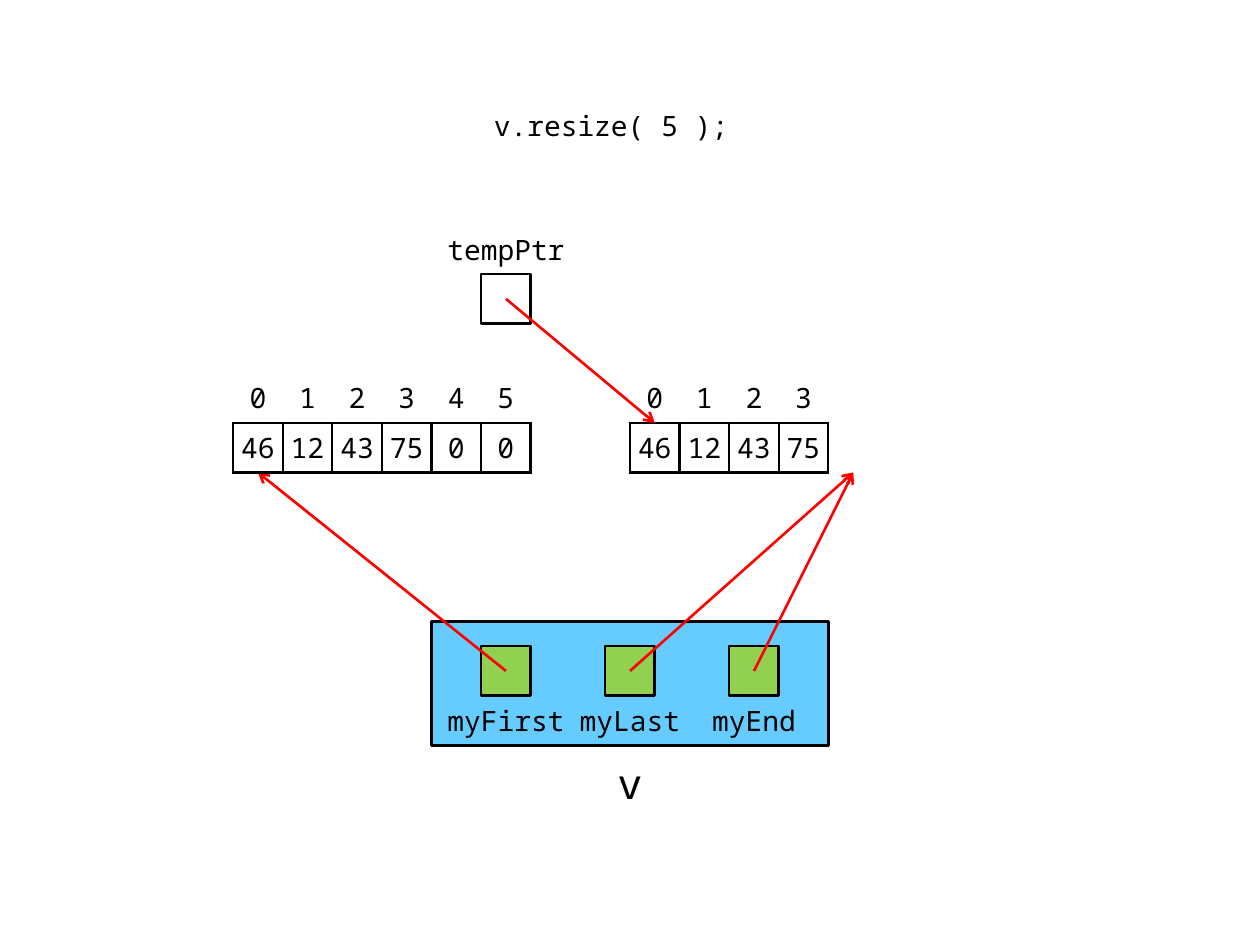
from dataclasses import dataclass

from lxml.etree import SubElement
from pptx import Presentation
from pptx.dml.color import RGBColor
from pptx.enum.shapes import MSO_CONNECTOR, MSO_SHAPE
from pptx.enum.text import MSO_ANCHOR, PP_ALIGN
from pptx.oxml import parse_xml
from pptx.oxml.ns import nsdecls, qn
from pptx.util import Inches, Length, Pt

FONT = "Noto Sans Mono"
BLACK, WHITE, RED = "000000", "FFFFFF", "FF0000"
BLUE, GREEN = "66CCFF", "92D050"
CELL = 1 / 2.54
LINE_WIDTH = 1.5


@dataclass
class Box:
    column: float
    row: float
    width: float = 1
    height: float = 1
    fill: str = ""
    text: str = ""
    size: int = 16
    kind: MSO_SHAPE = MSO_SHAPE.RECTANGLE


@dataclass
class Arrow:
    start: tuple[float, float]
    end: tuple[float, float]


@dataclass
class Array:
    column: float
    row: float
    values: list[int]


def color(value: str) -> RGBColor:
    return RGBColor.from_string(value)


def span_of(cells: float) -> Length:
    return Inches(cells * CELL)


def point(column: float, row: float) -> tuple[Length, Length]:
    return Inches(5 + column * CELL), Inches(3.75 + row * CELL)


def write(frame, text: str, size: int = 16, align=PP_ALIGN.CENTER) -> None:
    frame.text = text
    para = frame.paragraphs[0]
    para.alignment = align
    para.space_before = Pt(0)
    para.font.name = FONT
    para.font.size = Pt(size)
    para.font.bold = False
    para.font.color.rgb = color(BLACK)


def draw_statement(page, text: str) -> None:
    page.shapes.title.element.getparent().remove(page.shapes.title.element)
    body = page.placeholders[1]
    body.left, body.top = point(-3, -7.5)
    body.width, body.height = span_of(6), span_of(1)
    frame = body.text_frame
    frame.vertical_anchor = MSO_ANCHOR.MIDDLE
    write(frame, text, align=PP_ALIGN.LEFT)
    properties = frame.paragraphs[0]._p.get_or_add_pPr()
    properties.set("marL", "0")
    properties.set("indent", "0")
    properties.append(parse_xml(f"<a:buNone {nsdecls('a')}/>"))


def draw_box(page, box: Box) -> None:
    shape = page.shapes.add_shape(
        box.kind, *point(box.column, box.row), span_of(box.width), span_of(box.height)
    )
    shape.shadow.inherit = False
    if box.fill:
        shape.fill.solid()
        shape.fill.fore_color.rgb = color(box.fill)
        shape.line.color.rgb = color(BLACK)
        shape.line.width = Pt(LINE_WIDTH)
    else:
        shape.fill.background()
        shape.line.fill.background()
    if box.text:
        shape.text_frame.vertical_anchor = MSO_ANCHOR.MIDDLE
        write(shape.text_frame, box.text, box.size)


def draw_arrow(page, arrow: Arrow) -> None:
    connector = page.shapes.add_connector(
        MSO_CONNECTOR.STRAIGHT, *point(*arrow.start), *point(*arrow.end)
    )
    connector.line.color.rgb = color(RED)
    connector.line.width = Pt(LINE_WIDTH)
    SubElement(connector.line._get_or_add_ln(), qn("a:tailEnd"), type="arrow")
    SubElement(connector.element.spPr, qn("a:effectLst"))


def set_borders(cell, visible: str) -> None:
    properties = cell._tc.get_or_add_tcPr()
    for position, side in enumerate("LRTB"):
        paint = (
            f'<a:solidFill><a:srgbClr val="{BLACK}"/></a:solidFill>'
            if side in visible
            else "<a:noFill/>"
        )
        border = parse_xml(
            f'<a:ln{side} {nsdecls("a")} w="{Pt(LINE_WIDTH)}">{paint}</a:ln{side}>'
        )
        properties.insert(position, border)


def draw_array(page, array: Array) -> None:
    count = len(array.values)
    table = page.shapes.add_table(
        2, count, *point(array.column, array.row), span_of(count), span_of(2)
    ).table
    table.first_row = table.horz_banding = False
    for line in table.rows:
        line.height = span_of(1)
    for index, value in enumerate(array.values):
        table.columns[index].width = span_of(1)
        for row, (text, borders) in enumerate([(index, "B"), (value, "LRTB")]):
            cell = table.cell(row, index)
            cell.fill.background()
            cell.vertical_anchor = MSO_ANCHOR.MIDDLE
            cell.margin_left = cell.margin_right = Inches(0.06)
            cell.margin_top = cell.margin_bottom = Inches(0.04)
            write(cell.text_frame, str(text))
            set_borders(cell, borders)


def label(text: str, column: float, row: float) -> Box:
    return Box(column, row, width=3, text=text, kind=MSO_SHAPE.FLOWCHART_PROCESS)


def main() -> None:
    deck = Presentation()
    deck.slide_width, deck.slide_height = Inches(10), Inches(7.5)
    page = deck.slides.add_slide(deck.slide_layouts[1])
    draw_statement(page, "v.resize( 5 );")

    draw_array(page, Array(0, -2, [46, 12, 43, 75]))
    draw_box(page, Box(-1, 5.5, 2, 1.5, text="v", size=24))
    draw_box(page, Box(-4, 3, 8, 2.5, BLUE, kind=MSO_SHAPE.FLOWCHART_PROCESS))

    members = ["myFirst", "myLast", "myEnd"]
    targets = [(-7.5, 0), (4.5, 0), (4.5, 0)]
    centers = [-2.5, 0, 2.5]
    for name, center in zip(members, centers):
        draw_box(page, label(name, center - 1.5, 4.5))
        draw_box(page, Box(center - 0.5, 3.5, fill=GREEN))
    for center, target in zip(centers, targets):
        draw_arrow(page, Arrow((center, 4), target))

    draw_array(page, Array(-8, -2, [46, 12, 43, 75, 0, 0]))
    draw_box(page, label("tempPtr", -4, -5))
    draw_box(page, Box(-3, -4, fill=WHITE))
    draw_arrow(page, Arrow((-2.5, -3.5), (0.5, -1)))
    deck.save("out.pptx")


main()
